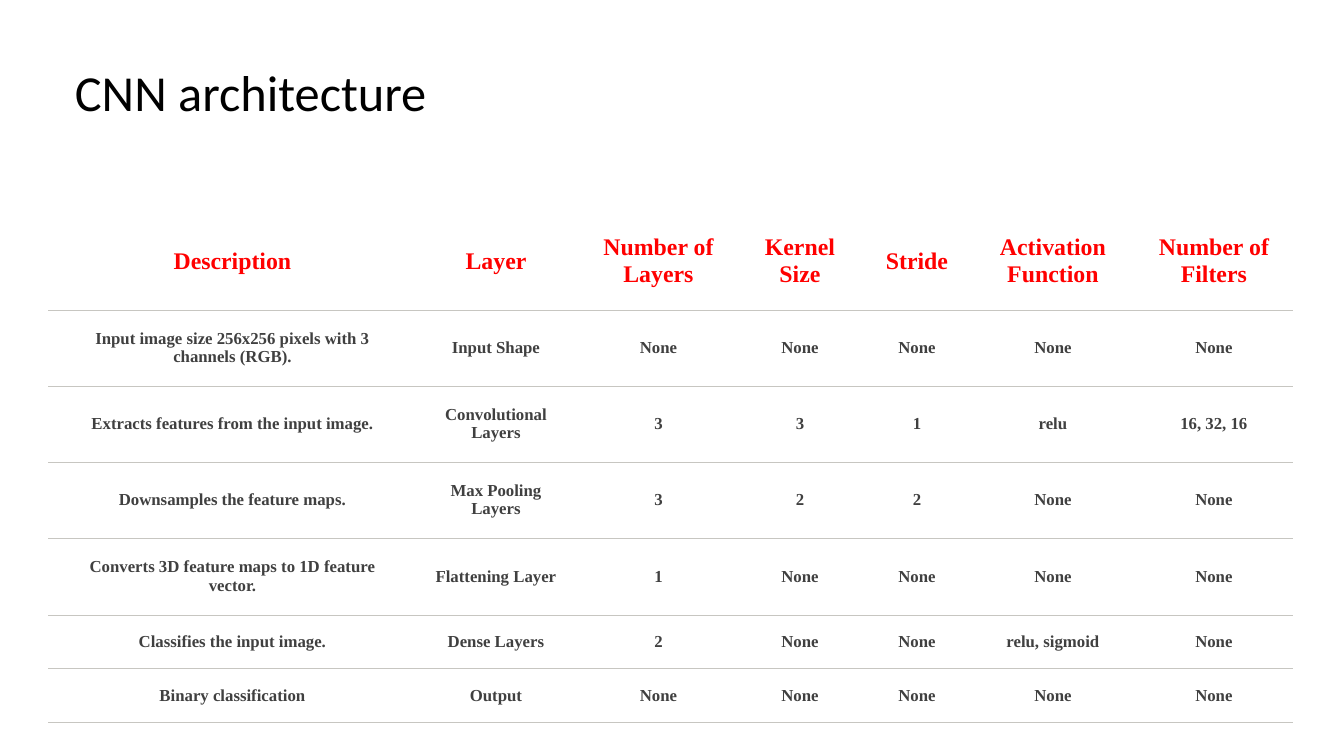
import pptx
import pptx.dml.color
import pptx.enum.shapes
import pptx.enum.text
import pptx.oxml
import pptx.oxml.ns
import pptx.util

TITLE = "CNN architecture"
ROWS = [
    ("Description", "Layer", "Number of Layers", "Kernel Size", "Stride",
     "Activation Function", "Number of Filters"),
    ("Input image size 256x256 pixels with 3 channels (RGB).", "Input Shape",
     "None", "None", "None", "None", "None"),
    ("Extracts features from the input image.", "Convolutional Layers",
     "3", "3", "1", "relu", "16, 32, 16"),
    ("Downsamples the feature maps.", "Max Pooling Layers",
     "3", "2", "2", "None", "None"),
    ("Converts 3D feature maps to 1D feature vector.", "Flattening Layer",
     "1", "None", "None", "None", "None"),
    ("Classifies the input image.", "Dense Layers",
     "2", "None", "None", "relu, sigmoid", "None"),
    ("Binary classification", "Output",
     "None", "None", "None", "None", "None"),
]
COLUMN_WIDTHS = [364, 163, 162, 121, 113, 159, 163]
ROW_HEIGHTS = [98, 76, 76, 76, 77, 54, 54]
COLORS = {"band": "FFFFFF", "title": "000000", "header": "FF0000",
          "body": "404040", "rule": "C7C6C1"}


def px(length):
    return pptx.util.Emu(round(length * 914400 / 100.8))


def color(name):
    return pptx.dml.color.RGBColor.from_string(COLORS[name])


def add_run(paragraph, text, font_name, size, color_name, bold=False):
    run = paragraph.add_run()
    run.text = text
    run.font.name = font_name
    run.font.size = pptx.util.Pt(size)
    run.font.bold = bold
    run.font.color.rgb = color(color_name)


def set_borders(cell, ruled_sides):
    properties = cell._tc.get_or_add_tcPr()
    for index, side in enumerate("LRTB"):
        if side in ruled_sides:
            width = pptx.util.Pt(0.75)
            fill = f'<a:solidFill><a:srgbClr val="{COLORS["rule"]}"/></a:solidFill>'
        else:
            width, fill = 0, "<a:noFill/>"
        properties.insert(index, pptx.oxml.parse_xml(
            f'<a:ln{side} {pptx.oxml.ns.nsdecls("a")} w="{width}">{fill}</a:ln{side}>'))


presentation = pptx.Presentation()
presentation.slide_width = px(1344)
presentation.slide_height = px(756)
slide = presentation.slides.add_slide(presentation.slide_layouts[6])

# Title band
band = slide.shapes.add_shape(pptx.enum.shapes.MSO_SHAPE.RECTANGLE,
                              0, 0, px(1344), px(187))
band.shadow.inherit = False
band.fill.solid()
band.fill.fore_color.rgb = color("band")
band.line.fill.background()

# Title
title_frame = slide.shapes.add_textbox(px(65), px(27), px(773), px(136)).text_frame
title_frame.word_wrap = True
title_frame.vertical_anchor = pptx.enum.text.MSO_ANCHOR.MIDDLE
title_paragraph = title_frame.paragraphs[0]
title_paragraph.line_spacing = 0.9
add_run(title_paragraph, TITLE, "Calibri", 36, "title")

# Layer table
table = slide.shapes.add_table(
    len(ROWS), len(COLUMN_WIDTHS), px(48), px(212),
    px(sum(COLUMN_WIDTHS)), px(sum(ROW_HEIGHTS))).table
table.first_row = False
table.horz_banding = False
for column, width in zip(table.columns, COLUMN_WIDTHS):
    column.width = px(width)
for row, height in zip(table.rows, ROW_HEIGHTS):
    row.height = px(height)

for row_index, texts in enumerate(ROWS):
    is_header = row_index == 0
    size, color_name = (17, "header") if is_header else (12, "body")
    for column_index, text in enumerate(texts):
        cell = table.cell(row_index, column_index)
        cell.fill.background()
        cell.vertical_anchor = pptx.enum.text.MSO_ANCHOR.MIDDLE
        cell.margin_left, cell.margin_right = px(19), px(14)
        cell.margin_top = cell.margin_bottom = px(9)
        set_borders(cell, "B" if is_header else "TB")
        paragraph = cell.text_frame.paragraphs[0]
        paragraph.alignment = pptx.enum.text.PP_ALIGN.CENTER
        add_run(paragraph, text, "Times New Roman", size, color_name, bold=True)

presentation.save("out.pptx")
